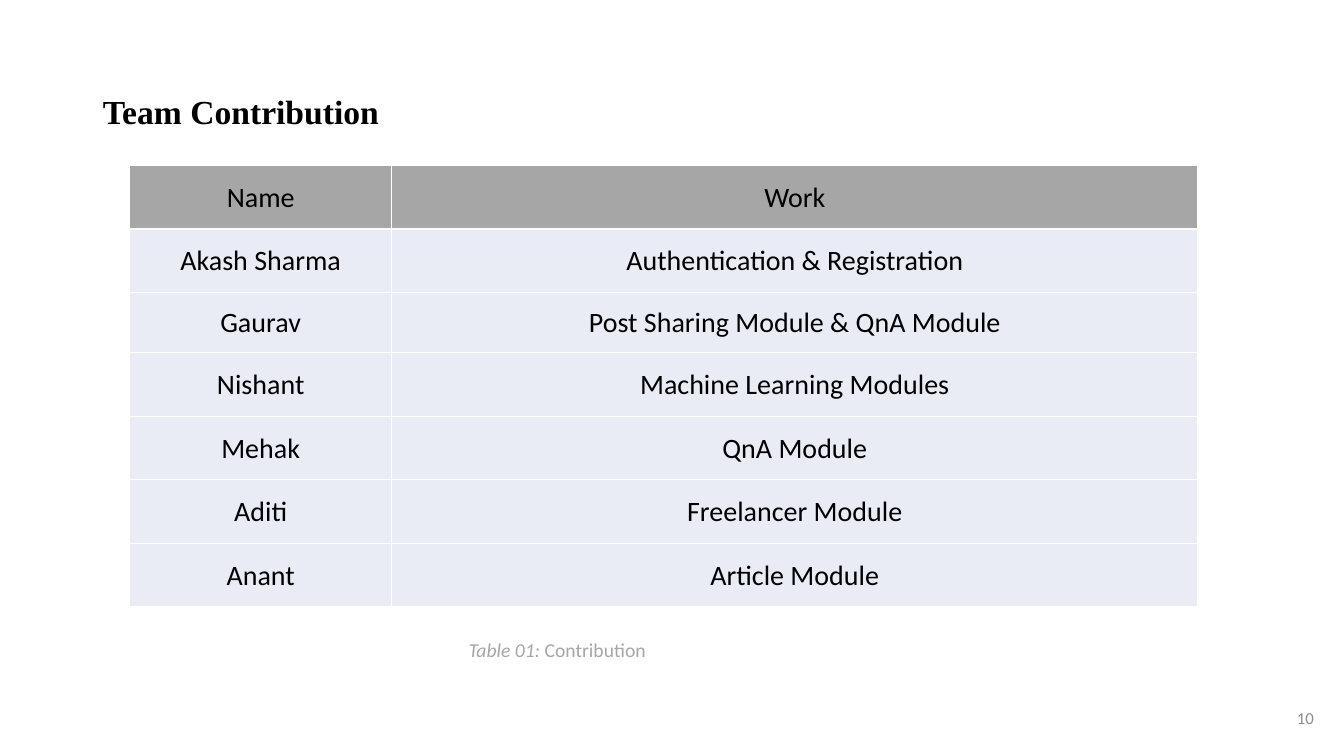
from lxml import etree
from pptx import Presentation
from pptx import util as u
from pptx.dml.color import RGBColor
from pptx.enum import text
from pptx.oxml.ns import qn

COLORS = {"ink": "000000", "paper": "FFFFFF", "header": "A6A6A6",
          "row": "E9EBF5", "number": "8C8C8C"}

CONTRIBUTIONS = [
    ("Name", "Work"),
    ("Akash Sharma", "Authentication & Registration"),
    ("Gaurav", "Post Sharing Module & QnA Module"),
    ("Nishant", "Machine Learning Modules"),
    ("Mehak", "QnA Module"),
    ("Aditi", "Freelancer Module"),
    ("Anant", "Article Module"),
]


class ReportSlide:
    """Holds the style and the current slide, and adds each kind of element."""

    def __init__(self, deck):
        self.slide = deck.slides.add_slide(deck.slide_layouts[5])
        self.body_font = "Calibri"
        self.title_font = "Times New Roman"

    def apply(self, target, **values):
        for name, value in values.items():
            setattr(target, name, value)

    def add_words(self, paragraph, words, color, **font_values):
        run = paragraph.add_run()
        run.text = words
        self.apply(run.font, **{"name": self.body_font, **font_values})
        run.font.color.rgb = RGBColor.from_string(COLORS[color])

    def title(self, words, box):
        heading = self.slide.shapes.title
        self.apply(heading, **dict(zip(("left", "top", "width", "height"), map(u.Cm, box))))
        heading.text_frame.vertical_anchor = text.MSO_ANCHOR.MIDDLE
        line = heading.text_frame.paragraphs[0]
        self.apply(line, alignment=text.PP_ALIGN.LEFT, line_spacing=0.9)
        self.add_words(line, words, "ink", name=self.title_font, size=u.Pt(24), bold=True)

    def label(self, box, runs, color, size, align=text.PP_ALIGN.LEFT, **frame_values):
        frame = self.slide.shapes.add_textbox(*map(u.Cm, box)).text_frame
        self.apply(frame, word_wrap=True, **frame_values)
        line = frame.paragraphs[0]
        line.alignment = align
        for words, italic in runs:
            self.add_words(line, words, color, size=u.Pt(size), italic=italic)

    def border(self, cell):
        properties = cell._tc.get_or_add_tcPr()
        for position, side in enumerate(("lnL", "lnR", "lnT", "lnB")):
            edge = etree.Element(qn(f"a:{side}"), w=str(u.Pt(1)))
            fill = etree.SubElement(edge, qn("a:solidFill"))
            etree.SubElement(fill, qn("a:srgbClr"), val=COLORS["paper"])
            properties.insert(position, edge)

    def table(self, left, top, widths, heights, rows):
        box = map(u.Cm, (left, top, sum(widths), sum(heights)))
        grid = self.slide.shapes.add_table(len(rows), len(widths), *box).table
        grid.horz_banding = False
        for column, width in zip(grid.columns, widths):
            column.width = u.Cm(width)
        margin = u.Cm(0.03)
        for index, (row, height, entries) in enumerate(zip(grid.rows, heights, rows)):
            row.height = u.Cm(height)
            for cell, words in zip(row.cells, entries):
                self.apply(cell, vertical_anchor=text.MSO_ANCHOR.MIDDLE, margin_left=margin,
                           margin_right=margin, margin_top=margin, margin_bottom=0)
                cell.fill.solid()
                cell.fill.fore_color.rgb = RGBColor.from_string(
                    COLORS["row" if index else "header"])
                self.border(cell)
                line = cell.text_frame.paragraphs[0]
                line.alignment = text.PP_ALIGN.CENTER
                self.add_words(line, words, "ink", size=u.Pt(20), bold=False)


def main():
    deck = Presentation()
    deck.slide_width, deck.slide_height = u.Cm(33.87), u.Cm(19.05)
    report = ReportSlide(deck)
    report.title("Team Contribution", (2.34, 1.02, 29.21, 3.68))
    report.label((31.93, 17.15, 1.93, 1.9), [("10", False)], "number", 12,
                 text.PP_ALIGN.CENTER, vertical_anchor=text.MSO_ANCHOR.MIDDLE,
                 margin_left=0, margin_right=0, margin_top=0, margin_bottom=0)
    report.label((11.56, 15.95, 5.66, 0.86),
                 [("Table 01:", True), (" Contribution", False)], "header", 14,
                 auto_size=text.MSO_AUTO_SIZE.SHAPE_TO_FIT_TEXT)
    report.table(3.27, 4.17, (6.6, 20.32), [1.6] * 2 + [1.52] + [1.6] * 4, CONTRIBUTIONS)
    deck.save("out.pptx")


if __name__ == "__main__":
    main()
